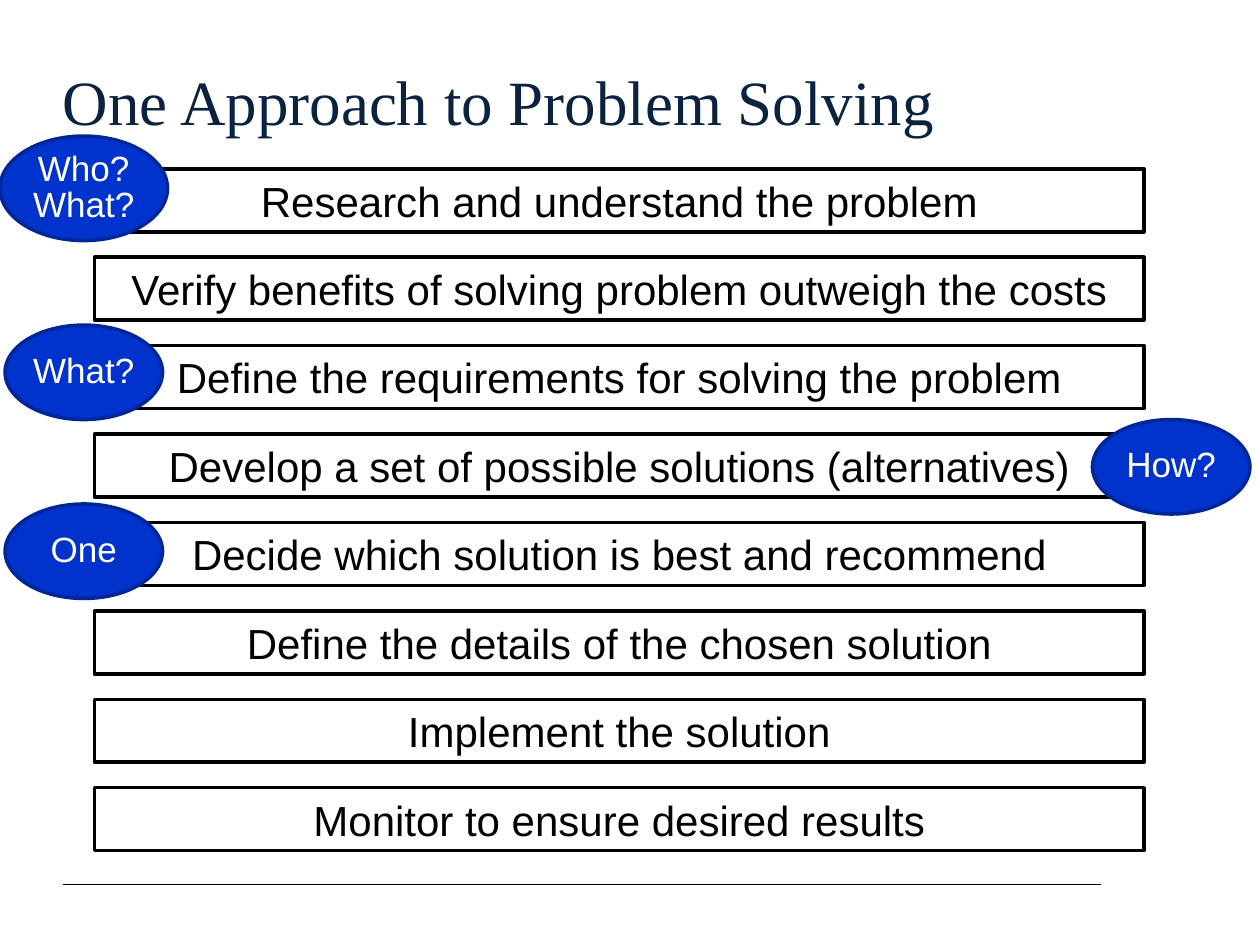
from pptx import Presentation
from pptx.dml.color import RGBColor
from pptx.enum.shapes import MSO_CONNECTOR, MSO_SHAPE
from pptx.enum.text import MSO_ANCHOR, PP_ALIGN
from pptx.oxml.ns import qn
from pptx.util import Inches, Pt
from lxml import etree

RECT, OVAL = MSO_SHAPE.RECTANGLE, MSO_SHAPE.OVAL
TOP, MIDDLE = MSO_ANCHOR.TOP, MSO_ANCHOR.MIDDLE
LEFT, CENTER = PP_ALIGN.LEFT, PP_ALIGN.CENTER
STRAIGHT = MSO_CONNECTOR.STRAIGHT

# Content
TITLE = "One Approach to Problem Solving"
STEPS = [
    "Research and understand the problem",
    "Verify benefits of solving problem outweigh the costs",
    "Define the requirements for solving the problem",
    "Develop a set of possible solutions (alternatives)",
    "Decide which solution is best and recommend",
    "Define the details of the chosen solution",
    "Implement the solution",
    "Monitor to ensure desired results",
]
# Text, left, top, width, height
TAGS = [
    ("Who?\nWhat?", 0, 1.08, 1.33, 0.83),
    ("What?", 0.04, 2.58, 1.25, 0.75),
    ("How?", 8.67, 3.33, 1.25, 0.75),
    ("One", 0.04, 4, 1.25, 0.75),
]

THEME = {
    "title": ("Times New Roman", 36, "0C2340"),
    "step": ("Arial", 24, "000000"),
    "tag": ("Arial", 20, "FFFFFF"),
    "step_fill": "FFFFFF", "step_line": "000000",
    "tag_fill": "0033CC", "tag_line": "002697",
    "rule": "000000",
}
STEP_TOP, STEP_GAP = 1.34, 0.7017


def color(name):
    return RGBColor.from_string(name)


def write(shape, text, style, align, anchor, space=None):
    font, size, ink = THEME[style]
    frame = shape.text_frame
    frame.text = text
    frame.vertical_anchor = anchor
    for para in frame.paragraphs:
        para.alignment = align
        if space:
            para.line_spacing = space
        for run in para.runs:
            run.font.name = font
            run.font.size = Pt(size)
            run.font.color.rgb = color(ink)
    return frame


def block(slide, kind, box, style):
    shape = slide.shapes.add_shape(kind, *map(Inches, box))
    shape.shadow.inherit = False
    shape.fill.solid()
    shape.fill.fore_color.rgb = color(THEME[style + "_fill"])
    shape.line.color.rgb = color(THEME[style + "_line"])
    shape.line.width = Pt(2)
    return shape


def main():
    deck = Presentation()
    deck.slide_width, deck.slide_height = Inches(10), Inches(7.5)
    slide = deck.slides.add_slide(deck.slide_layouts[6])

    # Footer rule
    rule = slide.shapes.add_connector(
        STRAIGHT, Inches(0.5), Inches(7.02), Inches(8.74), Inches(7.02))
    rule.line.color.rgb = color(THEME["rule"])
    rule.line.width = Pt(0.75)
    etree.SubElement(rule.element.spPr, qn("a:effectLst"))

    # Title
    title = slide.shapes.add_textbox(*map(Inches, (0.5, 0.45, 7.96, 0.93)))
    frame = write(title, TITLE, "title", LEFT, TOP)
    frame.word_wrap = True
    frame.margin_left, frame.margin_top = 0, Inches(0.05)

    # Step bars
    for row, text in enumerate(STEPS):
        box = (0.75, STEP_TOP + row * STEP_GAP, 8.33, 0.5)
        bar = block(slide, RECT, box, "step")
        write(bar, text, "step", CENTER, MIDDLE).word_wrap = True

    # Question tags
    for text, *box in TAGS:
        tag = block(slide, OVAL, box, "tag")
        write(tag, text, "tag", CENTER, MIDDLE, 0.86).word_wrap = False

    deck.save("out.pptx")


if __name__ == "__main__":
    main()
